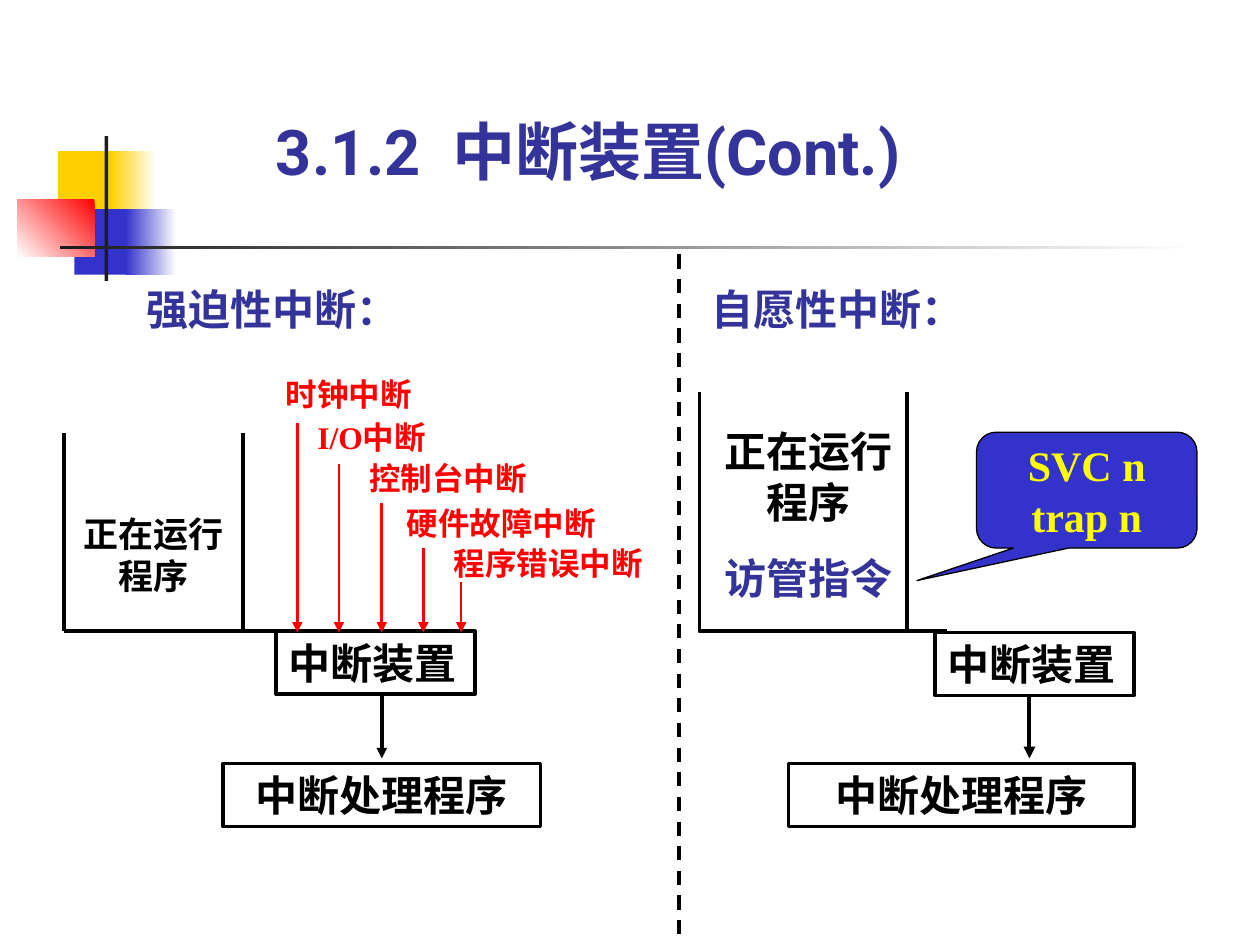
import pptx
import pptx.util
import pptx.dml.color
import pptx.enum.dml
import pptx.enum.shapes
import pptx.enum.text
import pptx.oxml.ns
import lxml.etree

PX = 9144  # EMU per px, 100 px to the inch
COLORS = {key: pptx.dml.color.RGBColor.from_string(value) for key, value in {
    "white": "FFFFFF", "black": "000000", "red": "FF0000", "yellow": "FFFF00",
    "gold": "FFCF01", "blue": "3333CC", "indigo": "333399", "charcoal": "1C1C1C",
}.items()}
SERIF, SANS = "Times New Roman", "Roboto"
SHAPES = pptx.enum.shapes.MSO_SHAPE
LEFT, CENTER = pptx.enum.text.PP_ALIGN.LEFT, pptx.enum.text.PP_ALIGN.CENTER
TOP = pptx.enum.text.MSO_ANCHOR.TOP

deck = pptx.Presentation()
deck.slide_width, deck.slide_height = 1000 * PX, 750 * PX
slide = deck.slides.add_slide(deck.slide_layouts[5])
shapes = slide.shapes


def write(shape, lines, size, font=SERIF, align=LEFT, margins=(0, 0), anchor=TOP):
    """Fill a shape with (text, color) paragraphs."""
    frame = shape.text_frame
    frame.word_wrap = True
    frame.auto_size = pptx.enum.text.MSO_AUTO_SIZE.NONE
    frame.vertical_anchor = anchor
    frame.margin_left = frame.margin_right = margins[0] * PX
    frame.margin_top = frame.margin_bottom = margins[1] * PX
    frame.text = "\n".join(text for text, color in lines)
    for paragraph, (text, color) in zip(frame.paragraphs, lines):
        paragraph.alignment = align
        paragraph.font.name = font
        paragraph.font.size = pptx.util.Pt(size)
        paragraph.font.bold = True
        paragraph.font.color.rgb = COLORS[color]


def add_line(start, end, width, color="black", arrow=False, dash=False):
    line = shapes.add_connector(pptx.enum.shapes.MSO_CONNECTOR.STRAIGHT,
                                *(v * PX for v in start + end))
    line.line.width = pptx.util.Pt(width)
    line.line.color.rgb = COLORS[color]
    if dash:
        line.line.dash_style = pptx.enum.dml.MSO_LINE.DASH
    if arrow:
        lxml.etree.SubElement(line.line._get_or_add_ln(),
                              pptx.oxml.ns.qn("a:tailEnd"), type="triangle")
    lxml.etree.SubElement(line._element.spPr, pptx.oxml.ns.qn("a:effectLst"))


# Corner ornament: one color is solid, two are a gradient at a clockwise angle
for place, fill_colors, angle in [
    ((46, 120, 48, 52), ["gold"], 0),
    ((88, 120, 36, 52), ["white", "gold"], 180),
    ((59, 166, 46, 52), ["blue"], 0),
    ((100, 166, 40, 52), ["white", "blue"], 180),
    ((14, 158, 61, 46), ["red", "white"], 135),
    ((83, 108, 3, 115), ["charcoal"], 0),
    ((48, 195, 900, 3), ["white", "charcoal"], 180),
]:
    ornament = shapes.add_shape(SHAPES.RECTANGLE, *(v * PX for v in place))
    ornament.shadow.inherit = False
    ornament.line.fill.background()
    if len(fill_colors) == 1:
        ornament.fill.solid()
        ornament.fill.fore_color.rgb = COLORS[fill_colors[0]]
    else:
        ornament.fill.gradient()
        ornament.fill.gradient_angle = 360 - angle
        for stop, color in zip(ornament.fill.gradient_stops, fill_colors):
            stop.color.rgb = COLORS[color]

# Title
title = shapes.title
title.left, title.top, title.width, title.height = (v * PX for v in (209, 84, 583, 70))
write(title, [("3.1.2  中断装置(Cont.)", "indigo")], 36, SANS, margins=(10, 5),
      anchor=pptx.enum.text.MSO_ANCHOR.BOTTOM)

# Column headings and the divider between them
for left, width, heading in [(114, 213, "强迫性中断："), (563, 205, "自愿性中断：")]:
    heading_box = shapes.add_textbox(left * PX, 225 * PX, width * PX, 40 * PX)
    write(heading_box, [(heading, "indigo")], 24, SANS, margins=(2, 0))
add_line((539, 202), (539, 750), 2, dash=True)

# Running programs, without outline
for place, lines, size in [
    ((59, 407, 126, 71), [("正在运行程序", "black")], 20),
    ((563, 338, 158, 141), [("正在运行程序", "black"), ("访管指令", "indigo")], 24),
]:
    program = shapes.add_shape(SHAPES.RECTANGLE, *(v * PX for v in place))
    program.shadow.inherit = False
    program.fill.solid()
    program.fill.fore_color.rgb = COLORS["white"]
    program.line.fill.background()
    write(program, lines, size, align=CENTER)
    for paragraph in program.text_frame.paragraphs[1:]:
        paragraph.space_before = pptx.util.Pt(15)

# Open frames around the running programs
add_line((228, 501), (51, 501), 2.25)
for x in (51, 193):
    add_line((x, 501), (x, 344), 2.25)
outline = shapes.build_freeform(555, 311, scale=PX)
outline.add_line_segments([(555, 501), (720, 501), (720, 311)], close=False)
right_frame = outline.convert_to_shape()
right_frame.shadow.inherit = False
right_frame.fill.background()
right_frame.line.color.rgb = COLORS["black"]
right_frame.line.width = pptx.util.Pt(2)
add_line((689, 501), (752, 501), 2)

# Interrupt device and handler boxes
for place, text, align in [
    ((219, 501, 158, 50), "中断装置", LEFT),
    ((742, 502, 158, 50), "中断装置", LEFT),
    ((177, 606, 252, 50), "中断处理程序", CENTER),
    ((626, 606, 274, 50), "中断处理程序", CENTER),
]:
    stage = shapes.add_shape(SHAPES.RECTANGLE, *(v * PX for v in place))
    stage.shadow.inherit = False
    stage.fill.solid()
    stage.fill.fore_color.rgb = COLORS["white"]
    stage.line.color.rgb = COLORS["black"]
    stage.line.width = pptx.util.Pt(2)
    write(stage, [(text, "black")], 24, align=align, margins=(10, 5))
for x, width in [(303, 2), (817, 2.25)]:
    add_line((x, 552), (x, 602), width, arrow=True)

# Interrupt sources, each with its arrow into the device
for left, top, width, source, arrow_x, arrow_top in [
    (227, 298, 124, "时钟中断", 236, 336),
    (252, 332, 130, "I/O中断", 269, 368),
    (293, 364, 128, "控制台中断", 303, 399),
    (323, 400, 169, "硬件故障中断", 336, 435),
    (360, 432, 164, "程序错误中断", 366, 462),
]:
    add_line((arrow_x, arrow_top), (arrow_x, 502), 1.5, "red", arrow=True)
    label = shapes.add_textbox(left * PX, top * PX, width * PX, 30 * PX)
    write(label, [(source, "red")], 18)

# Callout with the trap instructions
callout = shapes.add_shape(SHAPES.ROUNDED_RECTANGULAR_CALLOUT,
                           *(v * PX for v in (775, 343, 175, 92)))
callout.shadow.inherit = False
for index, value in enumerate((-0.77, 0.78, 0.17)):
    callout.adjustments[index] = value
callout.fill.solid()
callout.fill.fore_color.rgb = COLORS["blue"]
callout.line.color.rgb = COLORS["black"]
callout.line.width = pptx.util.Pt(0.75)
write(callout, [("SVC n", "yellow"), ("trap n", "yellow")], 24, align=CENTER,
      margins=(10, 5), anchor=pptx.enum.text.MSO_ANCHOR.MIDDLE)

deck.save("out.pptx")
